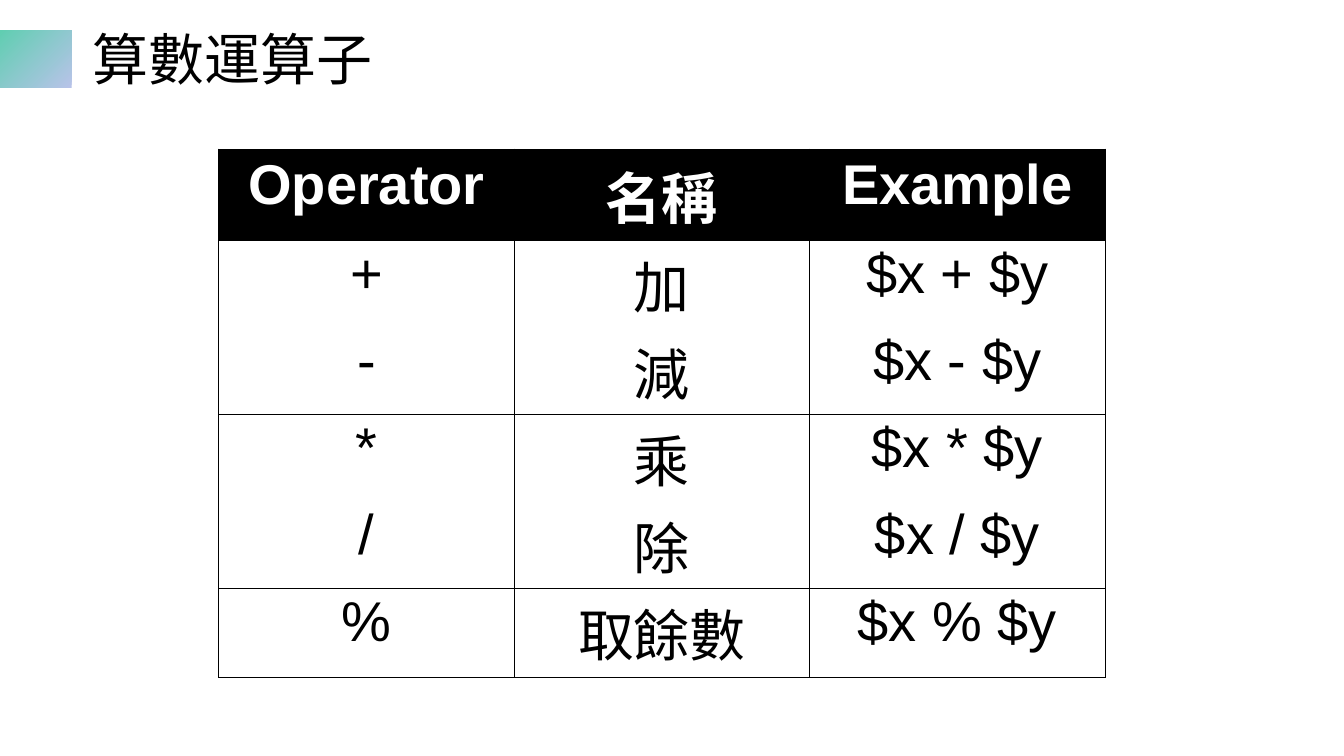
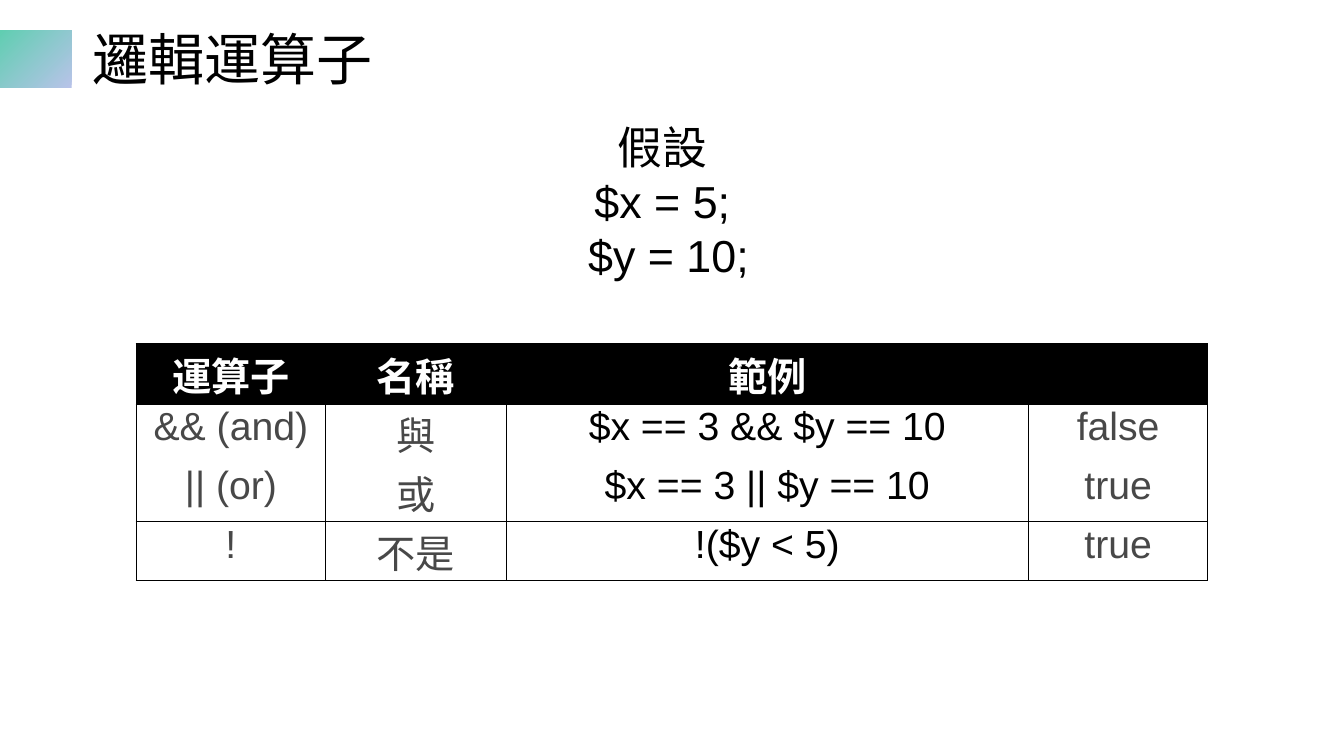
from lxml import etree
from pptx import Presentation
from pptx import util as u
from pptx.dml import color
from pptx.enum import shapes, text
from pptx.oxml import ns

FONT = "Arial"
COLORS = {"black": "000000", "white": "FFFFFF", "gray": "484848",
          "lavender": "B8C3E9", "mint": "60CEB1"}


def add_text(paragraph, words, size, shade, bold=False):
    run = paragraph.add_run()
    run.text = words
    run.font.name = FONT
    run.font.size = u.Pt(size)
    run.font.bold = bold
    run.font.color.rgb = color.RGBColor.from_string(COLORS[shade])


def add_border(cell, side, visible):
    edge = etree.SubElement(cell._tc.get_or_add_tcPr(), ns.qn(f"a:ln{side}"))
    if visible:
        edge.set("w", str(u.Pt(0.75)))
        paint = etree.SubElement(edge, ns.qn("a:solidFill"))
        etree.SubElement(paint, ns.qn("a:srgbClr")).set("val", COLORS["black"])
    else:
        etree.SubElement(edge, ns.qn("a:noFill"))


topics = [
    {
        "title": "算數運算子",
        "corner": (2.17, 1.48),
        "widths": [2.93] * 3,
        "heights": [0.89] + [0.86] * 4 + [0.88],
        "size": 40,
        "margins": (0.04, 0.05, 0.03),
        "shades": ["black"] * 3,
        "rows": [
            ["Operator", "名稱", "Example"],
            ["+", "加", "$x + $y"],
            ["-", "減", "$x - $y"],
            ["*", "乘", "$x * $y"],
            ["/", "除", "$x / $y"],
            ["%", "取餘數", "$x % $y"],
        ],
        "assumptions": [],
    },
    {
        "title": "邏輯運算子",
        "corner": (1.35, 3.41),
        "widths": [1.88, 1.79, 5.18, 1.78],
        "heights": [0.6] + [0.58] * 3,
        "size": 28,
        "margins": (0.02, 0.02, 0.01),
        "shades": ["gray", "gray", "black", "gray"],
        "rows": [
            ["運算子", "名稱", "範例", ""],
            ["&& (and)", "與", "$x == 3 && $y == 10", "false"],
            ["|| (or)", "或", "$x == 3 || $y == 10", "true"],
            ["!", "不是", "!($y < 5)", "true"],
        ],
        "assumptions": ["假設", "$x = 5;", " $y = 10;"],
    },
]

deck = Presentation()
deck.slide_width, deck.slide_height = u.Inches(13.33), u.Inches(7.5)
layout = deck.slide_layouts[5]

for number, topic in enumerate(topics):
    slide = deck.slides.add_slide(layout)

    if number == 0:
        accent = slide.shapes.add_shape(
            shapes.MSO_SHAPE.RECTANGLE, 0, u.Inches(0.3), u.Inches(0.71), u.Inches(0.57))
        accent.shadow.inherit = False
        accent.line.fill.background()
        accent.fill.gradient()
        accent.fill.gradient_angle = 135
        for stop, shade in zip(accent.fill.gradient_stops, ("lavender", "mint")):
            stop.color.rgb = color.RGBColor.from_string(COLORS[shade])
        layout.shapes.element.append(accent.element)

    title = slide.shapes.title
    title.left, title.top = u.Inches(0.82), u.Inches(0.14)
    title.width, title.height = u.Inches(11.5), u.Inches(0.95)
    title.text_frame.auto_size = text.MSO_AUTO_SIZE.NONE
    title.text_frame.vertical_anchor = text.MSO_ANCHOR.MIDDLE
    heading = title.text_frame.paragraphs[0]
    heading.alignment = text.PP_ALIGN.LEFT
    heading.line_spacing = 0.9
    add_text(heading, topic["title"], 40, "black")

    rows, widths, heights = topic["rows"], topic["widths"], topic["heights"]
    left, top = topic["corner"]
    operators = slide.shapes.add_table(
        len(rows), len(widths), u.Inches(left), u.Inches(top),
        u.Inches(sum(widths)), u.Inches(sum(heights))).table
    operators.first_row = operators.horz_banding = False
    for column, width in zip(operators.columns, widths):
        column.width = u.Inches(width)
    side_margin, header_margin, body_margin = topic["margins"]

    for r, labels in enumerate(rows):
        operators.rows[r].height = u.Inches(heights[r])
        header, last = r == 0, r == len(rows) - 1
        for c, label in enumerate(labels):
            cell = operators.cell(r, c)
            cell.margin_left = cell.margin_right = u.Inches(side_margin)
            cell.margin_top = cell.margin_bottom = u.Inches(
                header_margin if header else body_margin)
            for side, visible in (("L", True), ("R", True),
                                  ("T", header or r % 2 == 1),
                                  ("B", last or r % 2 == 0)):
                add_border(cell, side, visible)
            cell.fill.solid()
            cell.fill.fore_color.rgb = color.RGBColor.from_string(
                COLORS["black" if header else "white"])
            if label:
                entry = cell.text_frame.paragraphs[0]
                entry.alignment = text.PP_ALIGN.CENTER
                add_text(entry, label, topic["size"],
                         "white" if header else topic["shades"][c], header)

    if topic["assumptions"]:
        premise = slide.shapes.add_textbox(
            u.Inches(5.58), u.Inches(1.14), u.Inches(1.98), u.Inches(1.72)).text_frame
        premise.word_wrap = True
        for i, statement in enumerate(topic["assumptions"]):
            line = premise.add_paragraph() if i else premise.paragraphs[0]
            line.alignment = text.PP_ALIGN.CENTER
            add_text(line, statement, 32, "black")

deck.save("out.pptx")
